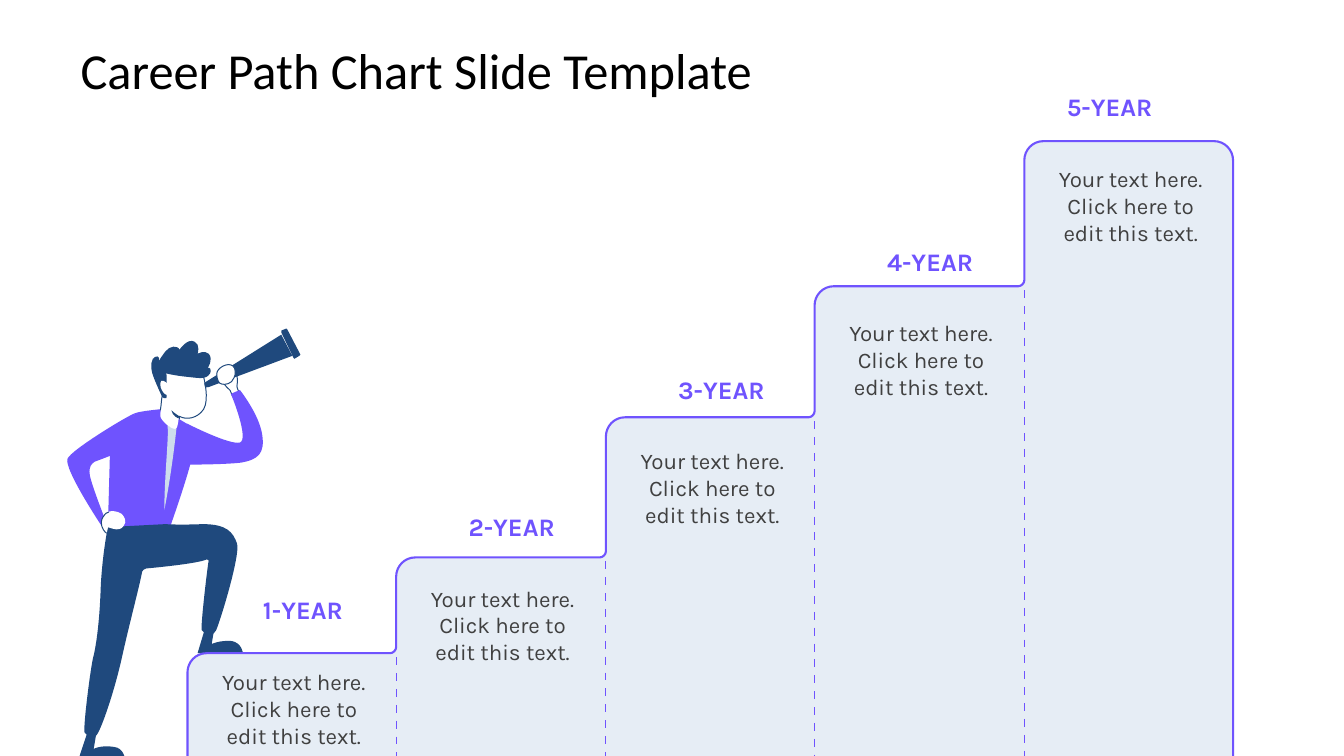
from lxml.etree import Element, SubElement
from pptx import Presentation
from pptx.dml.color import RGBColor
from pptx.enum.shapes import MSO_CONNECTOR as Connector
from pptx.enum.text import MSO_ANCHOR as Anchor, PP_ALIGN as Align
from pptx.oxml.ns import qn
from pptx.util import Emu, Pt

PX = 9144
NAVY, VIOLET, PALE, WHITE = "1F497D", "6F53FE", "CEDDEC", "FFFFFF"
BLACK, GREY = "000000", "404040"
THIN = 0.7

COLUMN_LEFT, COLUMN_PITCH, FLOOR = 186, 207.5, 752
ROUND, INNER = 19, 6
BODY_INSET, TEXT_WIDTH = 32, 147
STEPS = [
    ("1-YEAR", 648, 663, 9),
    ("2-YEAR", 553, 580, 9),
    ("3-YEAR", 414, 444, 9),
    ("4-YEAR", 284, 317, 9),
    ("5-YEAR", 140, 164, -21),
]

CUFF = "235 372|235 372 236 379 235 383|235 385 237 389 237 389|230 392|230 392 229 388 228 387|223 383 222 380 222 380"
LEFT_ARM = "115 450|115 450 97 457 94 458|91 460 88 463 89 470|89 476 103 512 103 512|101 522|101 522 63 465 67 455|71 446 129 411 134 410"
TORSO = "159 406|159 406 138 408 134 410|109 452|107 523|107 523 137 527 154 525|172 523 170 519 170 519|170 519 188 468 191 451|193 434 194 428 192 425|190 423 170 411 167 410|164 409 159 406 159 406"
RIGHT_ARM = "185 420|185 420 228 442 238 439|247 436 231 395 229 391|230 390 238 387 238 387|238 387 257 411 260 431|263 450 256 456 239 459|222 461 186 461 186 461"
TIE = "175 425|175 425 171 465 163 506|163 471 168 429 166 422|169 424 175 425 175 425"
FACE = "202 374|202 374 208 396 202 406|196 415 185 417 177 412|169 408 161 394 161 394|161 361|198 369"
NECK = "178 407|178 407 177 422 175 425|172 428 160 418 159 413|159 408 161 388 161 388"
HAIR = "207 351|212 357 206 365 206 365|206 365 209 364 209 368|209 371 206 376 196 375|186 374 177 373 172 372|166 371 156 369 157 363|157 357 161 353 161 353|161 353 166 344 172 344|178 344 178 347 178 347|178 347 186 335 193 339|199 342 196 351 196 351|196 351 203 347 207 351"
SIDEBURN = "158 357|158 357 158 352 154 354|150 355 149 364 151 370|153 377 161 394 161 394|161 394 164 396 165 395|166 395 165 366 165 366"
TROUSERS = "107 523|107 523 102 546 100 580|99 613 96 639 92 654|89 669 82 724 84 727|86 730 91 731 95 730|99 728 113 688 121 652|128 620 139 579 141 567|142 566 143 564 145 564|156 563 197 559 205 555|206 555 207 556 207 556|205 568 199 621 200 625|202 629 212 632 214 626|217 621 239 550 235 539|231 528 225 520 201 520|177 521 164 520 164 520"
REAR_SHOE = "96 725|93 743|93 743 100 739 113 741|123 742 124 753 124 753|78 753|88 723"
FRONT_SHOE = "213 621|210 639|210 639 218 635 230 636|240 638 241 648 241 648|196 648|205 618"
TELESCOPE = "207 384|290 353|279 332|204 379|203 379 202 381 203 383|204 384 205 385 207 384"
LENS = "292 356|297 353|298 353 298 352 298 352|285 327|285 326 284 326 284 326|279 328|278 329 278 329 279 330|291 355|291 356 292 356 292 356"
RAISED_HAND = "231 363|226 359 215 365 215 371|215 376 217 381 220 381|223 382 230 381 232 375|234 372 234 365 231 363"
HIP_HAND = "103 512|103 512 105 507 112 507|120 508 122 510 124 515|126 519 121 525 118 525|115 526 107 523 107 523|106 529|106 529 103 528 101 522|99 516 103 512 103 512"
EAR = "168 384|169 388 168 392 166 392|163 393 161 390 160 386|159 382 160 378 162 377|164 377 167 380 168 384"
CHIN_SHADE = "178 413|178 413 173 410 170 407|171 413 177 415 177 415"
NAPE = "159 407|160 402 160 396 161 392"
JAW = "202 374|202 374 208 396 202 406|196 415 185 417 178 413|178 414 178 415 178 416"
HIP_FINGERS = "106 529|106 529 103 528 101 522|99 516 103 512 103 512|103 512 104 509 108 508"


def color(hex_string):
    """Turn a hex string into a colour."""
    return RGBColor.from_string(hex_string)


class CareerSlide:
    """Holds the text font and the slide, and draws each kind of element."""

    font = "Karla"

    def __init__(self, deck):
        """Add a blank slide to the deck."""
        self.shapes = deck.slides.add_slide(deck.slide_layouts[6]).shapes

    def bend(self, shape, segments):
        """Turn the segments that have control points into curves."""
        lines = list(shape._element.spPr.iter(qn("a:lnTo")))
        for line, values in zip(lines, segments):
            if len(values) == 6:
                line.tag = qn("a:cubicBezTo")
                for index in (0, 1):
                    x, y = values[2 * index:2 * index + 2]
                    control = Element(qn("a:pt"), x=str(x - shape.left), y=str(y - shape.top))
                    line.insert(index, control)

    def outline(self, outline, fill=None, line=None, width=THIN, closed=True, rotation=0, alpha=None):
        """Draw a curved outline."""
        start, *segments = [[int(v) * PX for v in part.split()] for part in outline.split("|")]
        builder = self.shapes.build_freeform(*start, scale=1.0)
        builder.add_line_segments([values[-2:] for values in segments], close=closed)
        shape = builder.convert_to_shape()
        self.bend(shape, segments)
        shape.shadow.inherit = False
        shape.rotation = rotation
        if fill:
            shape.fill.solid()
            shape.fill.fore_color.rgb = color(fill)
        else:
            shape.fill.background()
        if line:
            shape.line.color.rgb = color(line)
            shape.line.width = Pt(width)
        else:
            shape.line.fill.background()
        if alpha:
            tint = shape._element.spPr.find(qn("a:solidFill"))[0]
            SubElement(tint, qn("a:alpha"), val=str(alpha * 1000))

    def divider(self, x, top, bottom):
        """Draw a thin dashed vertical line."""
        ends = [Emu(v * PX) for v in (x, top, x, bottom)]
        divider = self.shapes.add_connector(Connector.STRAIGHT, *ends)
        divider.line.color.rgb = color(VIOLET)
        divider.line.width = Pt(THIN)
        properties = divider._element.spPr
        dashes = SubElement(properties.find(qn("a:ln")), qn("a:custDash"))
        SubElement(dashes, qn("a:ds"), d="800000", sp="800000")
        SubElement(properties, qn("a:effectLst"))

    def text(self, x, y, width, height, lines, size, ink, font=None, bold=False,
             align=Align.CENTER, insets=(0, 0)):
        """Place a text box with one paragraph per line."""
        box = self.shapes.add_textbox(*(Emu(v * PX) for v in (x, y, width, height)))
        frame = box.text_frame
        frame.word_wrap = True
        frame.vertical_anchor = Anchor.MIDDLE
        frame.margin_left = frame.margin_right = Emu(insets[0] * PX)
        frame.margin_top = frame.margin_bottom = Emu(insets[1] * PX)
        for index, line in enumerate(lines):
            paragraph = frame.add_paragraph() if index else frame.paragraphs[0]
            paragraph.alignment = align
            run = paragraph.add_run()
            run.text = line
            run.font.name = font or self.font
            run.font.size = Pt(size)
            run.font.bold = bold
            run.font.color.rgb = color(ink)


def draw_explorer(slide):
    """Draw the man with the telescope."""
    slide.outline(CUFF, line=NAVY)
    for part, fill in [
        (LEFT_ARM, VIOLET), (TORSO, VIOLET), (RIGHT_ARM, VIOLET), (TIE, PALE),
        (FACE, WHITE), (NECK, WHITE), (HAIR, NAVY), (SIDEBURN, NAVY),
        (TROUSERS, NAVY), (REAR_SHOE, NAVY), (FRONT_SHOE, NAVY),
        (TELESCOPE, NAVY), (LENS, NAVY), (HIP_HAND, WHITE),
    ]:
        slide.outline(part, fill)
    slide.outline(RAISED_HAND, WHITE, NAVY)
    slide.outline(EAR, WHITE, rotation=345.7)
    slide.outline(CHIN_SHADE, NAVY)
    for stroke in (NAPE, JAW, HIP_FINGERS):
        slide.outline(stroke, line=NAVY, closed=False)


def draw_stairs(slide):
    """Draw the staircase, its dividers and the text of each step."""
    edges = [int(COLUMN_LEFT + COLUMN_PITCH * i) for i in range(len(STEPS) + 1)]
    right = edges[-1]
    stairs = [f"{edges[0]} {FLOOR}"]
    for x, end, (_, top, _, _) in zip(edges, edges[1:], STEPS):
        stairs += [f"{x} {top + ROUND}",
                   f"{x} {top + 9} {x + 8} {top} {x + ROUND} {top}"]
        if end != right:
            stairs += [f"{end - INNER} {top}",
                       f"{end - 3} {top} {end} {top - 3} {end} {top - INNER}"]
    stairs += [f"{right - ROUND} {top}",
               f"{right - 8} {top} {right} {top + 9} {right} {top + ROUND}",
               f"{right} {FLOOR}"]
    slide.outline("|".join(stairs), PALE, VIOLET, 1.5, alpha=50)
    for x, (_, top, _, _) in zip(edges[1:-1], STEPS):
        slide.divider(x, top + 4, FLOOR)
    for x, (year, _, body_top, shift) in zip(edges, STEPS):
        left = x + BODY_INSET
        slide.text(left, body_top, TEXT_WIDTH, 80,
                   ["Your text here.", "Click here to edit this text."], 16, GREY)
        slide.text(left + shift, body_top - 83, TEXT_WIDTH, 50, [year], 18, VIOLET, bold=True)


def main():
    """Build the slide and save it."""
    deck = Presentation()
    deck.slide_width, deck.slide_height = Emu(1333 * PX), Emu(750 * PX)
    slide = CareerSlide(deck)
    slide.text(67, 30, 1200, 78, ["Career Path Chart Slide Template"], 36, BLACK,
               font="Calibri", align=Align.LEFT, insets=(13, 7))
    draw_explorer(slide)
    draw_stairs(slide)
    deck.save("out.pptx")


if __name__ == "__main__":
    main()
